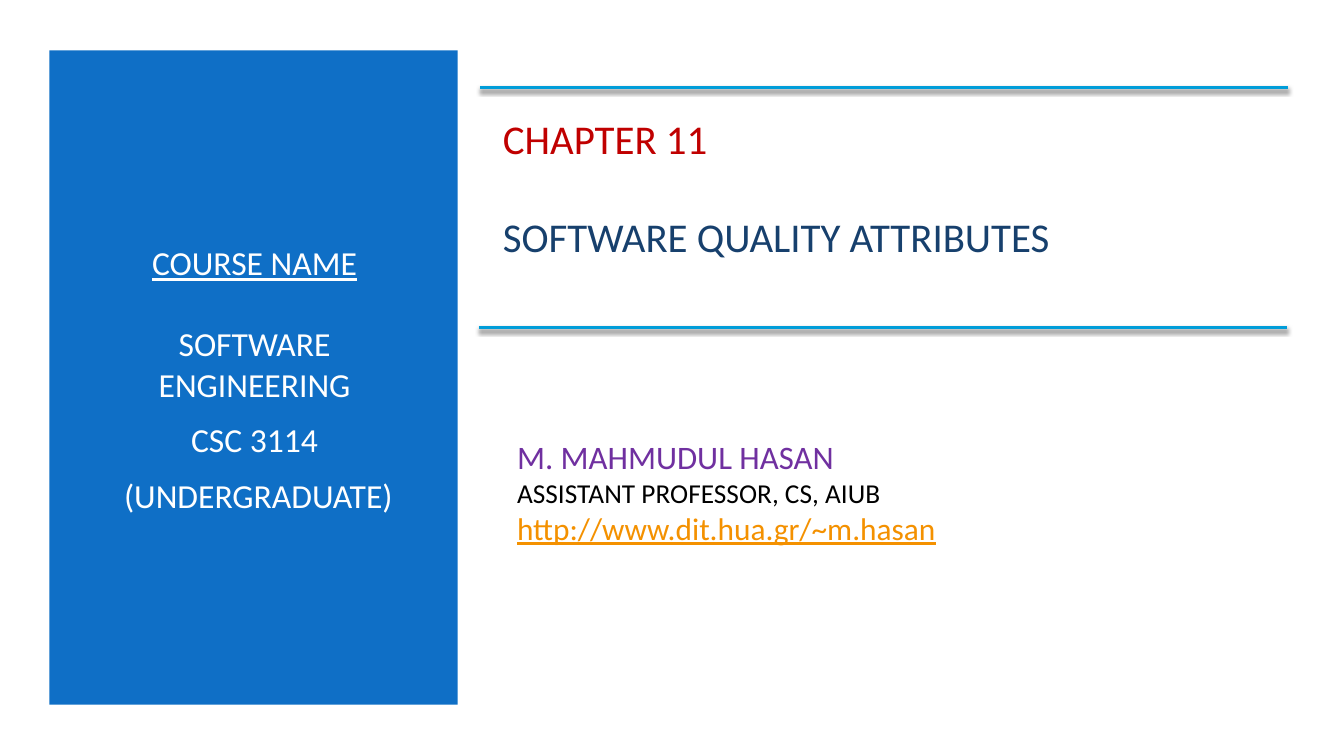
from dataclasses import dataclass

from lxml import etree
from pptx import Presentation
from pptx.dml.color import RGBColor
from pptx.enum.shapes import MSO_CONNECTOR, MSO_SHAPE
from pptx.enum.text import MSO_ANCHOR, PP_ALIGN
from pptx.oxml.ns import qn
from pptx.slide import Slide
from pptx.util import Inches, Pt

RECT = MSO_SHAPE.RECTANGLE
STRAIGHT = MSO_CONNECTOR.STRAIGHT
MIDDLE = MSO_ANCHOR.MIDDLE
LEFT, CENTER = PP_ALIGN.LEFT, PP_ALIGN.CENTER

FONT = "Calibri"
SLIDE_W, SLIDE_H = 13.33, 7.5
RULE_LENGTH = 8.01
COLORS = {
    "white": "FFFFFF",
    "panel": "0F6FC6",
    "rule": "009DD9",
    "shadow": "000000",
    "chapter": "C00000",
    "title": "17406D",
    "author": "7030A0",
    "role": "000000",
    "link": "F49100",
}


@dataclass
class Panel:
    box: tuple[float, float, float, float]
    color: str


@dataclass
class Line:
    text: str
    size: float
    color: str
    underline: bool = False
    before: float = 0


@dataclass
class TextBlock:
    box: tuple[float, float, float, float]
    lines: list[Line]
    align: PP_ALIGN = LEFT


@dataclass
class Rule:
    left: float
    top: float


PANELS = [
    Panel((0, 0, SLIDE_W, SLIDE_H), "white"),
    Panel((0.49, 0.5, 4.05, 6.49), "panel"),
]
BLOCKS = [
    TextBlock((0.84, 1.13, 3.37, 5.25), [
        Line("COURSE NAME", 24, "white", underline=True),
        Line("SOFTWARE ENGINEERING", 24, "white", before=29),
        Line("CSC 3114", 24, "white", before=10.8),
        Line(" (UNDERGRADUATE)", 24, "white", before=10.8),
    ], CENTER),
    TextBlock((4.89, 1.1, 7.85, 1.51), [
        Line("CHAPTER 11", 29.2, "chapter"),
        Line("SOFTWARE QUALITY ATTRIBUTES", 29.2, "title", before=35),
    ]),
    TextBlock((5.03, 4.1, 6.66, 1.56), [
        Line("M. MAHMUDUL HASAN", 23.4, "author"),
        Line("ASSISTANT PROFESSOR, CS, AIUB", 19.5, "role"),
        Line("http://www.dit.hua.gr/~m.hasan", 22.4, "link", underline=True),
    ]),
]
RULES = [Rule(4.76, 0.87), Rule(4.75, 3.25)]


def rgb(name: str) -> RGBColor:
    return RGBColor.from_string(COLORS[name])


def add_panel(s: Slide, panel: Panel) -> None:
    sp = s.shapes.add_shape(RECT, *map(Inches, panel.box))
    sp.shadow.inherit = False
    sp.fill.solid()
    sp.fill.fore_color.rgb = rgb(panel.color)
    sp.line.fill.background()


def add_text(s: Slide, block: TextBlock) -> None:
    tf = s.shapes.add_textbox(*map(Inches, block.box)).text_frame
    tf.word_wrap = True
    tf.vertical_anchor = MIDDLE
    for i, line in enumerate(block.lines):
        p = tf.add_paragraph() if i else tf.paragraphs[0]
        p.alignment = block.align
        if line.before:
            p.space_before = Pt(line.before)
        r = p.add_run()
        r.text = line.text
        formats = {"name": FONT, "size": Pt(line.size), "underline": line.underline}
        for key, value in formats.items():
            setattr(r.font, key, value)
        r.font.color.rgb = rgb(line.color)


def add_rule(s: Slide, rule: Rule) -> None:
    """Draw a horizontal line with a soft shadow below it."""
    ends = (rule.left, rule.top, rule.left + RULE_LENGTH, rule.top)
    sp = s.shapes.add_connector(STRAIGHT, *map(Inches, ends))
    sp.line.color.rgb = rgb("rule")
    sp.line.width = Pt(2)
    effects = etree.SubElement(sp._element.spPr, qn("a:effectLst"))
    shadow = etree.SubElement(
        effects, qn("a:outerShdw"), blurRad=str(Pt(3)), dist=str(Pt(2)),
        dir="5400000", rotWithShape="0")
    color = etree.SubElement(shadow, qn("a:srgbClr"), val=COLORS["shadow"])
    etree.SubElement(color, qn("a:alpha"), val="55000")


def main() -> None:
    prs = Presentation()
    prs.slide_width, prs.slide_height = Inches(SLIDE_W), Inches(SLIDE_H)
    s = prs.slides.add_slide(prs.slide_layouts[6])
    for panel in PANELS:
        add_panel(s, panel)
    for block in BLOCKS:
        add_text(s, block)
    for rule in RULES:
        add_rule(s, rule)
    prs.save("out.pptx")


if __name__ == "__main__":
    main()
